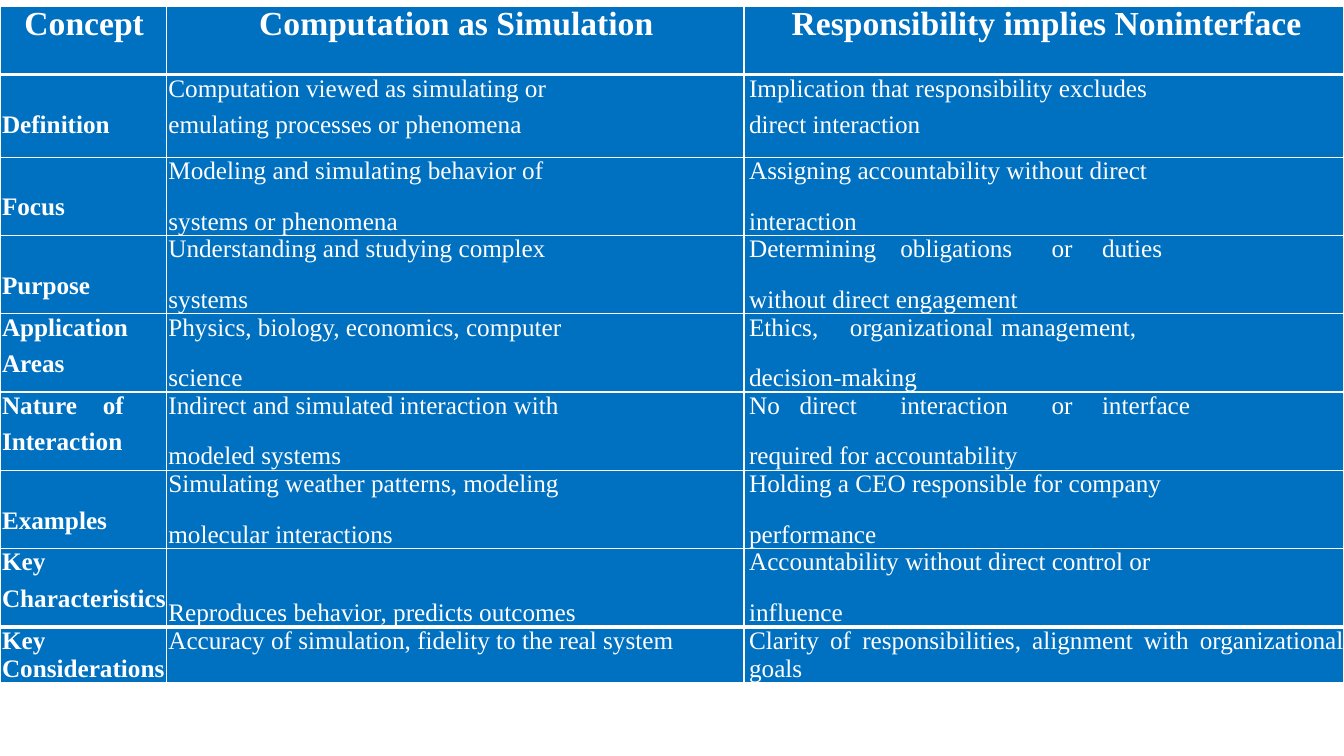
from dataclasses import dataclass

from lxml.etree import SubElement
from pptx import Presentation
from pptx.dml.color import RGBColor
from pptx.enum.text import PP_ALIGN as Align
from pptx.oxml import parse_xml
from pptx.oxml.ns import nsdecls, qn
from pptx.util import Inches, Pt


@dataclass(frozen=True)
class Theme:
    font: str = "Times New Roman"
    fill: str = "0070C0"
    ink: str = "FFFFFF"
    header_size: int = 24
    body_size: int = 18
    thin: int = 1
    thick: int = 3


HEADERS = ["Concept", "Computation as Simulation", "Responsibility implies Noninterface"]
ROWS = [
    ["Definition",
     "Computation viewed as simulating or\nemulating processes or phenomena",
     "Implication that responsibility excludes\ndirect interaction"],
    ["Focus",
     "Modeling and simulating behavior of\nsystems or phenomena",
     "Assigning accountability without direct\ninteraction"],
    ["Purpose",
     "Understanding and studying complex\nsystems",
     "Determining\tobligations\tor\tduties\nwithout direct engagement"],
    ["Application\nAreas",
     "Physics, biology, economics, computer\nscience",
     "Ethics,\torganizational\tmanagement,\ndecision-making"],
    ["Nature\tof\nInteraction",
     "Indirect and simulated interaction with\nmodeled systems",
     "No\tdirect\tinteraction\tor\tinterface\nrequired for accountability"],
    ["Examples",
     "Simulating weather patterns, modeling\nmolecular interactions",
     "Holding a CEO responsible for company\nperformance"],
    ["Key\nCharacteristics",
     "Reproduces behavior, predicts outcomes",
     "Accountability without direct control or\ninfluence"],
    ["Key Considerations",
     "Accuracy of simulation, fidelity to the real system",
     "Clarity of responsibilities, alignment with organizational goals"],
]
COLUMN_WIDTHS = [1.65, 5.73, 5.95]
ROW_HEIGHTS = [0.68, 0.82] + [0.77] * 6 + [0.55]
INDENTS = [0.02, 0.02, 0.05]
TAB_STOPS = {
    "Determining": [1.09, 2.03, 2.37],
    "Ethics,": [0.71, 1.88],
    "Nature": [1.06],
    "No": [0.43, 0.98, 1.87, 2.19],
}
# Single lines that sit level with the second line of their row
LOWERED = {"Definition": 0.36, "Focus": 0.36, "Purpose": 0.36, "Examples": 0.36,
           "Reproduces behavior, predicts outcomes": 0.5}


class SlideBuilder:
    def __init__(self, slide, theme):
        self.slide = slide
        self.theme = theme

    def add_table(self, left, top, rows):
        frame = self.slide.shapes.add_table(
            len(rows), len(COLUMN_WIDTHS), Inches(left), Inches(top),
            Inches(sum(COLUMN_WIDTHS)), Inches(sum(ROW_HEIGHTS)))
        table = frame.table
        table.first_row = table.horz_banding = False
        for column, width in zip(table.columns, COLUMN_WIDTHS):
            column.width = Inches(width)
        for row, height in zip(table.rows, ROW_HEIGHTS):
            row.height = Inches(height)
        last = len(rows) - 1
        for i, texts in enumerate(rows):
            for j, text in enumerate(texts):
                cell = table.cell(i, j)
                self.fill_cell(cell)
                self.write_cell(cell, text, i, j, last)
                self.set_borders(cell, thick_top=i in (1, last), thick_bottom=i in (0, last - 1))

    def fill_cell(self, cell):
        cell.fill.solid()
        cell.fill.fore_color.rgb = RGBColor.from_string(self.theme.fill)

    def write_cell(self, cell, text, row, column, last):
        cell.margin_left = cell.margin_right = cell.margin_bottom = 0
        cell.margin_top = Inches(LOWERED.get(text, 0))
        cell.text_frame.text = text
        for paragraph in cell.text_frame.paragraphs:
            paragraph.space_before = Pt(6)
            if row == 0:
                paragraph.alignment = Align.CENTER
            elif column == 0 or (row == last and column == 1):
                paragraph.alignment = Align.LEFT
            else:
                paragraph.alignment = Align.JUSTIFY
            if row == 0 or (row > 1 and column > 0):
                paragraph.space_after = Pt(10)
            self.set_indent(paragraph, INDENTS[column])
            for run in paragraph.runs:
                font = run.font
                font.name = self.theme.font
                font.size = Pt(self.theme.body_size if row else self.theme.header_size)
                font.bold = row == 0 or column == 0
                font.color.rgb = RGBColor.from_string(self.theme.ink)

    def set_indent(self, paragraph, indent):
        """Set the left indent and, on tabbed lines, the tab stops."""
        properties = paragraph._p.get_or_add_pPr()
        properties.set("marL", str(Inches(indent)))
        properties.set("indent", "0")
        if "\t" in paragraph.text:
            stops = SubElement(properties, qn("a:tabLst"))
            for position in TAB_STOPS[paragraph.text.split("\t")[0]]:
                SubElement(stops, qn("a:tab"), pos=str(Inches(position)), algn="l")

    def set_borders(self, cell, thick_top, thick_bottom):
        theme = self.theme
        widths = {"lnL": theme.thin, "lnR": theme.thin,
                  "lnT": theme.thick if thick_top else theme.thin,
                  "lnB": theme.thick if thick_bottom else theme.thin}
        properties = cell._tc.get_or_add_tcPr()
        for index, (side, width) in enumerate(widths.items()):
            properties.insert(index, parse_xml(
                f'<a:{side} {nsdecls("a")} w="{Pt(width)}"><a:solidFill>'
                f'<a:srgbClr val="{theme.ink}"/></a:solidFill></a:{side}>'))


def main():
    presentation = Presentation()
    presentation.slide_width = Inches(13.33)
    presentation.slide_height = Inches(7.5)
    slide = presentation.slides.add_slide(presentation.slide_layouts[6])
    SlideBuilder(slide, Theme()).add_table(0, 0.06, [HEADERS] + ROWS)
    presentation.save("out.pptx")


if __name__ == "__main__":
    main()
